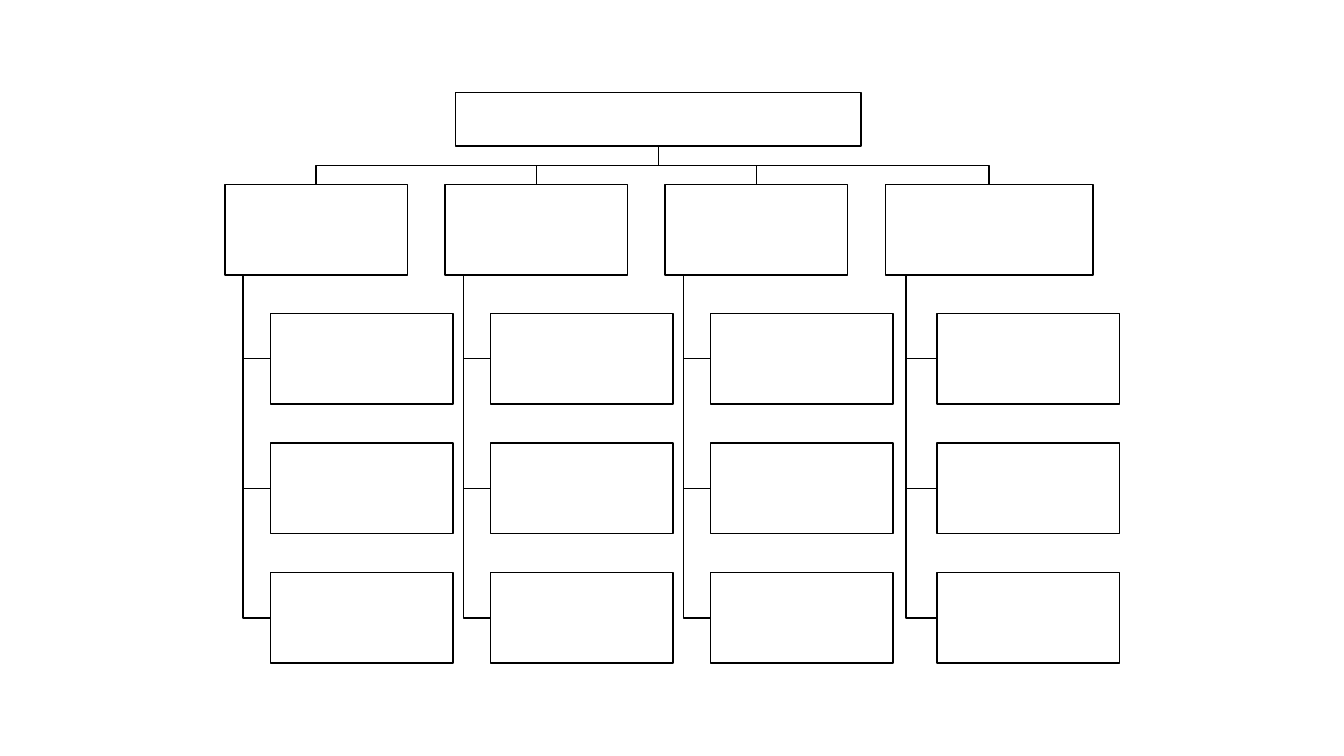
from pptx import Presentation
from pptx.dml.color import RGBColor
from pptx.enum import shapes as kinds
from pptx.util import Inches, Pt

BLACK = RGBColor(0, 0, 0)
WHITE = RGBColor(255, 255, 255)

ROOT = (4.52, 0.92, 4.02, 0.53)
WIDTHS = (1.81, 1.81, 1.81, 2.06)
LEFT, TOP = 2.23, 1.83
LEAF_W, BOX_H = 1.81, 0.9
PITCH = 6.55 / 3
ROWS = 3
ROW_TOP, ROW_STEP = 1.28, 1.285


def style(shape):
    """Give a shape the thin black line and no shadow."""
    shape.shadow.inherit = False
    shape.line.color.rgb = BLACK
    shape.line.width = Pt(1)


def add_box(slide, box):
    """Add an empty white box."""
    rect = slide.shapes.add_shape(
        kinds.MSO_SHAPE.RECTANGLE, *[Inches(v) for v in box])
    rect.fill.solid()
    rect.fill.fore_color.rgb = WHITE
    style(rect)


def add_link(slide, points):
    """Add an open bent line through the points."""
    start, *rest = [(Inches(x), Inches(y)) for x, y in points]
    pen = slide.shapes.build_freeform(*start)
    pen.add_line_segments(rest, close=False)
    link = pen.convert_to_shape()
    link.fill.background()
    style(link)


def add_root(slide, box, heads):
    """Add the top box and its links to the branch heads."""
    left, top, width, height = box
    mid, base = left + width / 2, top + height
    for x, y, w, _ in heads:
        bus, end = (base + y) / 2, x + w / 2
        add_link(slide, [(mid, base), (mid, bus), (end, bus), (end, y)])
    add_box(slide, box)


def add_branch(slide, head):
    """Add a branch head with its column of linked leaves."""
    left, top, width, height = head
    stem, indent = left + width * 0.1, left + width * 0.25
    leaves = [(indent, top + ROW_TOP + row * ROW_STEP, LEAF_W, BOX_H)
              for row in range(ROWS)]
    for x, y, _, h in leaves:
        mid = y + h / 2
        add_link(slide, [(stem, top + height), (stem, mid), (x, mid)])
    for box in [head, *leaves]:
        add_box(slide, box)


def main():
    """Build the organisation chart slide."""
    deck = Presentation()
    deck.slide_width, deck.slide_height = Inches(13.33), Inches(7.5)
    slide = deck.slides.add_slide(deck.slide_layouts[6])
    heads = [(LEFT + col * PITCH, TOP, width, BOX_H)
             for col, width in enumerate(WIDTHS)]
    add_root(slide, ROOT, heads)
    for head in heads:
        add_branch(slide, head)
    deck.save("out.pptx")


main()
